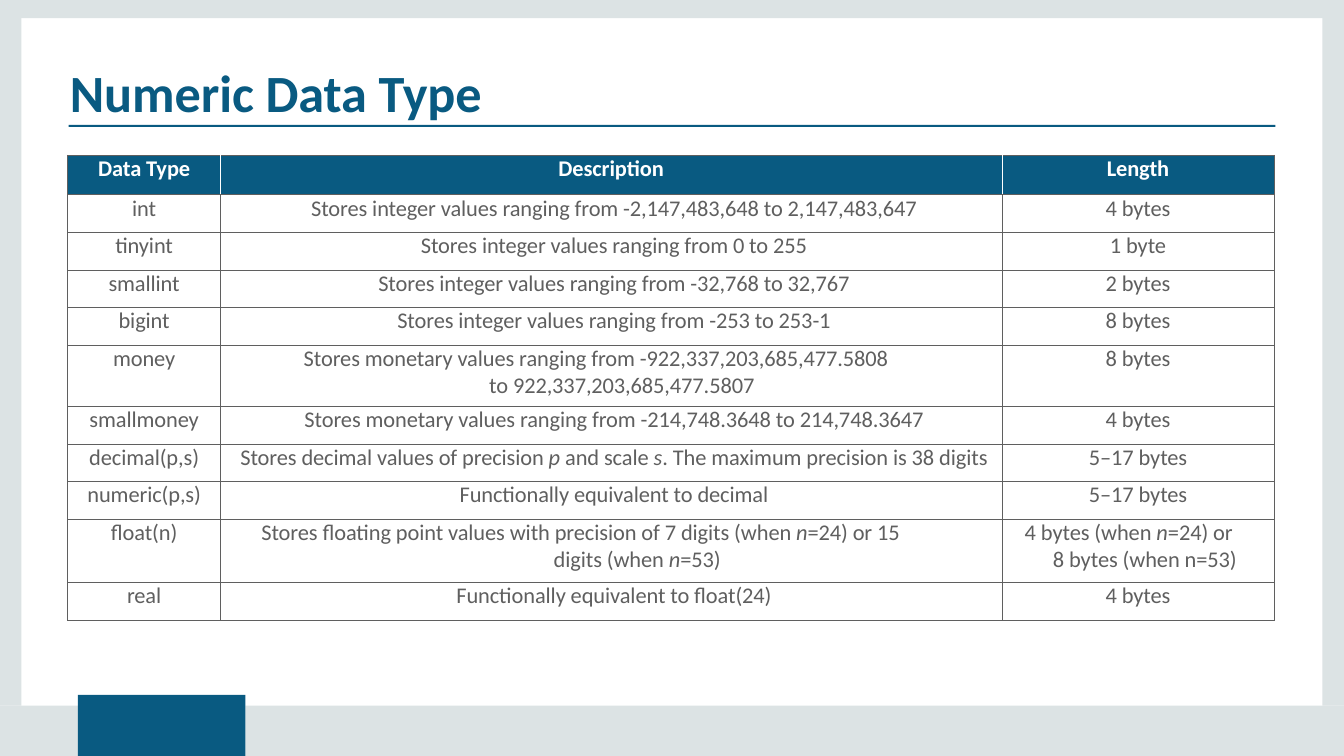
"""Build a slide that lists the numeric data types in a bordered table."""
from lxml import etree
from pptx import Presentation
from pptx import util as u
from pptx.dml import color
from pptx.enum import shapes, text
from pptx.oxml import ns

FRAME = [(0, 0, 20, 0.27), (0, 0.27, 0.32, 10.23), (19.68, 0.27, 0.32, 10.23),
         (0, 10.5, 1.16, 0.75), (3.65, 10.5, 16.35, 0.75)]
COLUMNS = [2.27, 11.63, 4.05]
ROW_HEIGHTS = {0: 0.59, 5: 0.91, 9: 0.94}
ROWS = [
    ("Data Type", "Description", "Length"),
    ("int", "Stores integer values ranging from -2,147,483,648 to 2,147,483,647", "4 bytes"),
    ("tinyint", "Stores integer values ranging from 0 to 255", "1 byte"),
    ("smallint", "Stores integer values ranging from -32,768 to 32,767", "2 bytes"),
    ("bigint", "Stores integer values ranging from -253 to 253-1", "8 bytes"),
    ("money", "Stores monetary values ranging from -922,337,203,685,477.5808 "
              "to 922,337,203,685,477.5807", "8 bytes"),
    ("smallmoney", "Stores monetary values ranging from -214,748.3648 to 214,748.3647", "4 bytes"),
    ("decimal(p,s)", "Stores decimal values of precision *p* and scale *s*. "
                     "The maximum precision is 38 digits", "5–17 bytes"),
    ("numeric(p,s)", "Functionally equivalent to decimal", "5–17 bytes"),
    ("float(n)", "Stores floating point values with precision of 7 digits (when *n*=24) or 15 "
                 "digits (when *n*=53)", "4 bytes (when *n*=24) or 8 bytes (when n=53)"),
    ("real", "Functionally equivalent to float(24)", "4 bytes"),
]
HANGING = {(5, 1): (4, -2.76, 1.35), (9, 1): (4.96, -4.35, 1.1), (9, 2): (0.76, -0.42, 0.4)}


def rgb(value):
    """Turn a hex string into a colour."""
    return color.RGBColor.from_string(value)


def write(frame, content, *, size, ink, bold=False, align=text.PP_ALIGN.LEFT, hanging=None):
    """Write one paragraph, with the parts between asterisks in italics."""
    frame.word_wrap = True
    paragraph = frame.paragraphs[0]
    paragraph.alignment = align
    if hanging:
        properties = paragraph._p.get_or_add_pPr()
        properties.set("marL", str(u.Inches(hanging[0])))
        properties.set("indent", str(u.Inches(hanging[1])))
    for index, part in enumerate(content.split("*")):
        run = paragraph.add_run()
        run.text = part
        run.font.name = "Calibri"
        run.font.size = u.Pt(size)
        run.font.bold = bold
        run.font.italic = index % 2 == 1
        run.font.color.rgb = rgb(ink)
        run._r.get_or_add_rPr().set("spc", "-10")


class Deck:
    """Hold the style and the current slide."""

    accent, grey, ink, white = "095A81", "DCE3E4", "5F5F5F", "FFFFFF"

    def __init__(self):
        """Start a presentation with one blank slide."""
        self.presentation = Presentation()
        self.presentation.slide_width = u.Inches(20)
        self.presentation.slide_height = u.Inches(11.25)
        self.slide = self.presentation.slides.add_slide(self.presentation.slide_layouts[6])

    def block(self, box, fill):
        """Add a plain filled rectangle."""
        shape = self.slide.shapes.add_shape(shapes.MSO_SHAPE.RECTANGLE, *map(u.Inches, box))
        shape.shadow.inherit = False
        shape.fill.solid()
        shape.fill.fore_color.rgb = rgb(fill)
        shape.line.fill.background()

    def title(self, box, content):
        """Add the slide title."""
        frame = self.slide.shapes.add_textbox(*map(u.Inches, box)).text_frame
        frame.margin_left = frame.margin_right = frame.margin_top = frame.margin_bottom = 0
        write(frame, content, size=56, ink=self.accent, bold=True)

    def border(self, cell, side, ink):
        """Draw one side of a cell."""
        line = etree.SubElement(cell._tc.get_or_add_tcPr(), ns.qn("a:ln" + side), w=str(u.Pt(1)))
        fill = etree.SubElement(line, ns.qn("a:solidFill"))
        etree.SubElement(fill, ns.qn("a:srgbClr"), val=ink)

    def cell(self, cell, content, row, column):
        """Format and fill one table cell."""
        header = row == 0
        hanging = HANGING.get((row, column))
        cell.margin_left = cell.margin_right = cell.margin_top = cell.margin_bottom = 0
        if hanging:
            cell.margin_right = u.Inches(hanging[2])
        elif column == 1 and not header:
            cell.margin_left = u.Inches(0.08)
        inner = {"L": column > 0, "R": column < len(COLUMNS) - 1}
        for side in "LRTB":
            self.border(cell, side, self.white if header and inner.get(side) else self.ink)
        if header:
            cell.fill.solid()
            cell.fill.fore_color.rgb = rgb(self.accent)
        else:
            cell.fill.background()
        write(cell.text_frame, content, size=24, ink=self.white if header else self.ink,
              bold=header, hanging=hanging,
              align=text.PP_ALIGN.LEFT if hanging else text.PP_ALIGN.CENTER)

    def table(self, left, top, rows):
        """Add the table of data types."""
        heights = [ROW_HEIGHTS.get(row, 0.56) for row in range(len(rows))]
        box = map(u.Inches, (left, top, sum(COLUMNS), sum(heights)))
        table = self.slide.shapes.add_table(len(rows), len(COLUMNS), *box).table
        table.horz_banding = False
        for column, width in zip(table.columns, COLUMNS):
            column.width = u.Inches(width)
        for row, (height, contents) in enumerate(zip(heights, rows)):
            table.rows[row].height = u.Inches(height)
            for column, content in enumerate(contents):
                self.cell(table.cell(row, column), content, row, column)


def main():
    """Build and save the slide."""
    deck = Deck()
    for box in FRAME:
        deck.block(box, deck.grey)
    deck.block((1.16, 10.34, 2.49, 0.91), deck.accent)
    deck.block((1.02, 1.86, 17.96, 0.03), deck.accent)
    deck.title((1.04, 0.9, 17.94, 0.81), "Numeric Data Type")
    deck.table(1.01, 2.31, ROWS)
    deck.presentation.save("out.pptx")


if __name__ == "__main__":
    main()
